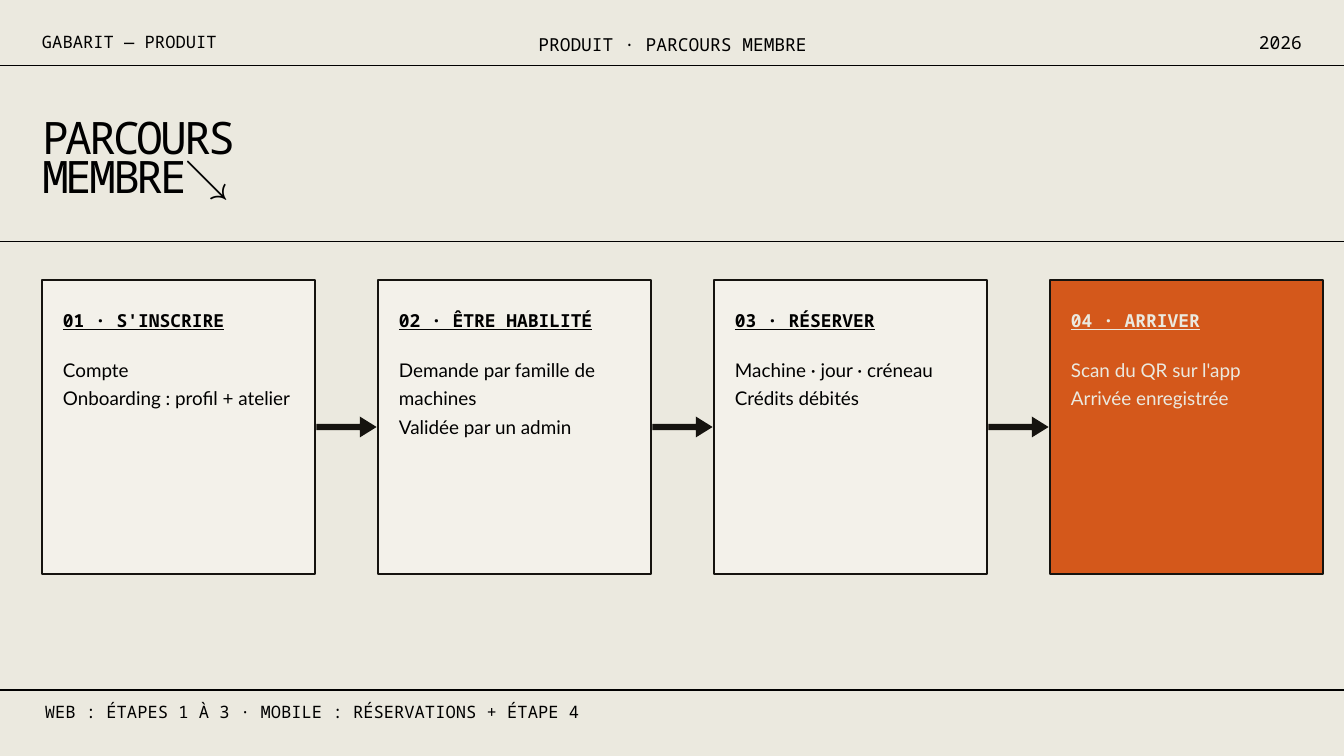
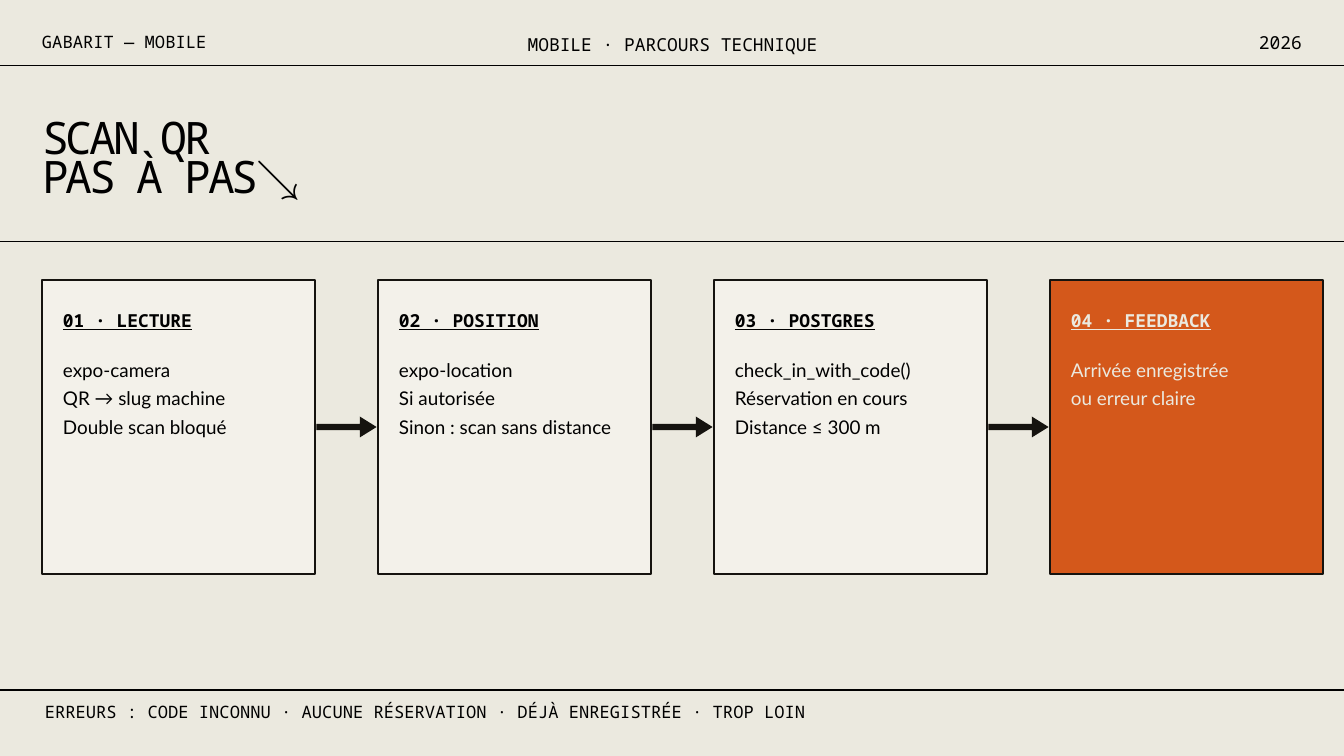
from lxml.etree import SubElement
from pptx import Presentation
from pptx.dml.color import RGBColor
from pptx.enum.shapes import MSO_CONNECTOR as Connector, MSO_SHAPE as Shape
from pptx.enum.text import MSO_ANCHOR as Anchor, MSO_AUTO_SIZE as AutoSize, PP_ALIGN as Align
from pptx.oxml.ns import qn
from pptx.util import Emu, Pt

PX = 9525
WIDTH, HEIGHT = 1920, 1080
MARGIN = 60

BLACK, INK = "000000", "15130F"
PAPER, CARD, ORANGE = "EBE9DF", "F3F1EA", "D4581B"
MONO, SANS = "Noto Sans Mono", "Lato"

RULES = (94, 345, 986)
CARD_TOP, CARD_WIDTH, CARD_HEIGHT, CARD_STEP = 400, 390, 420, 480
CARD_PADDING = 30
ARROW_GAP, ARROW_WIDTH, ARROW_HEIGHT = 2, 86, 30

PAGES = [
    {
        "tag": "GABARIT — PRODUIT",
        "section": "PRODUIT · PARCOURS MEMBRE",
        "title": "PARCOURS\nMEMBRE↘",
        "footer": "WEB : ÉTAPES 1 À 3 · MOBILE : RÉSERVATIONS + ÉTAPE 4",
        "steps": [
            ("S'INSCRIRE", "Compte\nOnboarding : profil + atelier"),
            ("ÊTRE HABILITÉ", "Demande par famille de machines\nValidée par un admin"),
            ("RÉSERVER", "Machine · jour · créneau\nCrédits débités"),
            ("ARRIVER", "Scan du QR sur l'app\nArrivée enregistrée"),
        ],
    },
    {
        "tag": "GABARIT — MOBILE",
        "section": "MOBILE · PARCOURS TECHNIQUE",
        "title": "SCAN QR\nPAS À PAS↘",
        "footer": "ERREURS : CODE INCONNU · AUCUNE RÉSERVATION · DÉJÀ ENREGISTRÉE · TROP LOIN",
        "steps": [
            ("LECTURE", "expo-camera\nQR → slug machine\nDouble scan bloqué"),
            ("POSITION", "expo-location\nSi autorisée\nSinon : scan sans distance"),
            ("POSTGRES", "check_in_with_code()\nRéservation en cours\nDistance ≤ 300 m"),
            ("FEEDBACK", "Arrivée enregistrée\nou erreur claire"),
        ],
    },
]


def color(value):
    return RGBColor.from_string(value)


def px(*lengths):
    return [Emu(length * PX) for length in lengths]


class Board:
    """Holds the deck, its style and the slide being built."""

    def __init__(self):
        self.deck = Presentation()
        self.deck.slide_width, self.deck.slide_height = px(WIDTH, HEIGHT)
        backdrop = self.deck.slide_master.background.fill
        backdrop.solid()
        backdrop.fore_color.rgb = color(PAPER)
        self.page = None

    def new_page(self):
        self.page = self.deck.slides.add_slide(self.deck.slide_layouts[5])

    def set_text(self, box, words, size, leading, font=MONO, ink=BLACK,
                 align=Align.LEFT, heading=False, tracking=None):
        """Fill a box with one paragraph per line and style its runs."""
        frame = box.text_frame
        frame.text = words
        frame.word_wrap = True
        frame.auto_size = AutoSize.SHAPE_TO_FIT_TEXT
        frame.vertical_anchor = Anchor.TOP
        frame.margin_left = frame.margin_right = 0
        frame.margin_top = frame.margin_bottom = 0
        for para in frame.paragraphs:
            para.alignment = align
            para.line_spacing = Pt(leading)
            para.space_before = Pt(0)
            for span in para.runs:
                span.font.name = font
                span.font.size = Pt(size)
                span.font.color.rgb = color(ink)
                if heading:
                    span.font.bold = span.font.underline = True
                if tracking:
                    span._r.get_or_add_rPr().set("spc", str(tracking))

    def text(self, area, words, size, leading, **style):
        box = self.page.shapes.add_textbox(*px(*area))
        self.set_text(box, words, size, leading, **style)

    def title(self, words):
        box = self.page.shapes.title
        box.left, box.top, box.width, box.height = px(MARGIN, 179, 840, 113)
        self.set_text(box, words, 47.9, 41.2, tracking=-330)

    def rule(self, y):
        line = self.page.shapes.add_connector(Connector.STRAIGHT, *px(0, y, WIDTH, y))
        line.line.color.rgb = color(BLACK)
        line.line.width = Pt(1.5)
        SubElement(line._element.spPr, qn("a:effectLst"))

    def block(self, kind, area, fill, outlined=False):
        shape = self.page.shapes.add_shape(kind, *px(*area))
        shape.shadow.inherit = False
        shape.fill.solid()
        shape.fill.fore_color.rgb = color(fill)
        if outlined:
            shape.line.color.rgb = color(INK)
            shape.line.width = Pt(1.5)
        else:
            shape.line.fill.background()
        return shape

    def card(self, left, heading, body, final):
        fill, ink = (ORANGE, PAPER) if final else (CARD, BLACK)
        self.block(Shape.RECTANGLE, (left, CARD_TOP, CARD_WIDTH, CARD_HEIGHT), fill, outlined=True)
        text_left, text_width = left + CARD_PADDING, CARD_WIDTH - 2 * CARD_PADDING
        self.text((text_left, 437, text_width, 33), heading, 19.2, 26.9, ink=ink, heading=True)
        self.text((text_left, 504, text_width, 118), body, 20.2, 30.4, font=SANS, ink=ink)

    def arrow(self, left):
        top = CARD_TOP + (CARD_HEIGHT - ARROW_HEIGHT) // 2
        shape = self.block(Shape.RIGHT_ARROW, (left, top, ARROW_WIDTH, ARROW_HEIGHT), INK)
        shape.adjustments[0] = 0.3
        shape.adjustments[1] = 0.8

    def frame(self, tag, section, footer):
        """Draw the header, the footer and the rules every slide has."""
        for y in RULES:
            self.rule(y)
        self.text((MARGIN, 40, 494, 34), tag, 18.3, 25.6)
        self.text((668, 43, 586, 33), section, 19.2, 26.9, align=Align.CENTER)
        self.text((1460, 40, 400, 33), "2026", 19.2, 26.9, align=Align.RIGHT)
        self.text((64, 997, 1800, 34), footer, 18.3, 25.6)

    def steps(self, steps):
        for index, (name, body) in enumerate(steps):
            left = MARGIN + index * CARD_STEP
            final = index == len(steps) - 1
            self.card(left, f"{index + 1:02} · {name}", body, final)
            if not final:
                self.arrow(left + CARD_WIDTH + ARROW_GAP)


def main():
    board = Board()
    for content in PAGES:
        board.new_page()
        board.title(content["title"])
        board.frame(content["tag"], content["section"], content["footer"])
        board.steps(content["steps"])
    board.deck.save("out.pptx")


if __name__ == "__main__":
    main()
